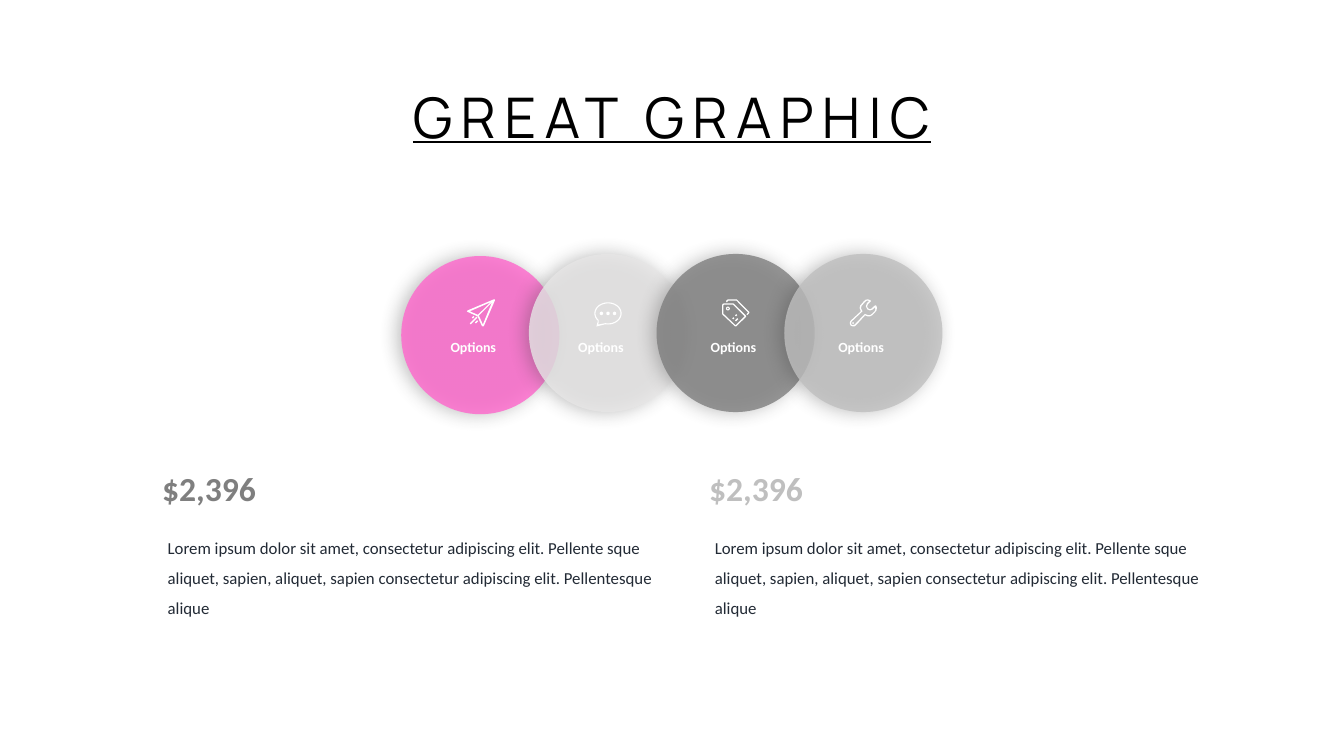
from dataclasses import dataclass
from math import cos, radians, sin

from lxml.etree import SubElement
from pptx import Presentation
from pptx.dml.color import RGBColor
from pptx.enum.shapes import MSO_SHAPE as Shape
from pptx.enum.text import MSO_AUTO_SIZE as AutoSize, PP_ALIGN as Align
from pptx.oxml.ns import qn
from pptx.slide import Slide
from pptx.text.text import _Paragraph as Paragraph
from pptx.util import Pt

Contour = list[tuple[float, float]]

COLORS = {
    "pink": "FF66CC", "light": "E7E6E6", "gray": "7F7F7F", "silver": "BFBFBF",
    "white": "FFFFFF", "black": "000000", "ink": "222A35", "shadow": "404040",
}
LOREM = (
    "Lorem ipsum dolor sit amet, consectetur adipiscing elit. Pellente sque aliquet, "
    "sapien, aliquet, sapien consectetur adipiscing elit. Pellentesque alique"
)
CIRCLE_SIZE, CIRCLE_LEFT, CIRCLE_STEP = 113, 286.6, 91.2
ICON_INSET, ICON_TOP, ICON_UNIT = 46.8, 213.8, 0.72
LABEL_TOP = 238.3


@dataclass
class Option:
    color: str
    top: float
    label_inset: float
    icon: list[Contour]


@dataclass
class Price:
    left: float
    color: str


def arc(cx: float, cy: float, rx: float, ry: float,
        start: int = 0, end: int = 360, step: int = 6) -> Contour:
    return [(cx + rx * cos(radians(a)), cy + ry * sin(radians(a)))
            for a in range(start, end, step)]


def dot(cx: float, cy: float, radius: float) -> Contour:
    return arc(cx, cy, radius, radius, step=20)


def dash(x1: float, y1: float, x2: float, y2: float) -> Contour:
    """Thin bar along a rising diagonal."""
    half = 0.5
    return [(x1 - half, y1 - half), (x2 - half, y2 - half),
            (x2 + half, y2 + half), (x1 + half, y1 + half)]


# Icon contours lie on a grid of about 28 units; inner contours are holes.
PLANE = [
    [(27, 0), (1, 11), (0, 12), (1, 12.6), (10.7, 17), (15, 26.5),
     (16, 27), (17, 26.5), (28, 1), (27.8, 0.2)],
    [(16, 25), (12, 16.2), (25, 3.2)],
    [(3, 12), (24, 2.8), (11, 15.4)],
    dash(8.5, 23.5, 10.7, 21.3), dash(3.5, 24.5, 10, 17.8), dash(5.5, 18.6, 7, 17.1),
]
CHAT = [
    arc(13.5, 14, 13.5, 11, 138, 465) + [(2, 27)],
    arc(13.5, 14, 12.4, 9.9, 138, 465) + [(4, 25)],
    *[dot(x, 14, 1.7) for x in (7, 13.5, 20)],
]
TAG = [
    [(2, 4), (11, 4), (11.6, 4.4), (24, 16.4), (24, 17.2), (14, 27), (13, 27),
     (0.4, 15.2), (0, 14.4), (0, 6), (0.6, 4.6)],
    [(2, 5.2), (10.8, 5.2), (22.4, 16.8), (13.4, 25.8), (1.4, 14.4), (1.4, 6)],
    dot(5.8, 9.2, 1.9), dot(5.8, 9.2, 0.8),
    dash(13.4, 21.4, 15.6, 19.2), dash(10.6, 19.5, 11.8, 18.3),
    dash(13.4, 16.5, 14.6, 15.3),
    [(4, 2.8), (4.4, 1), (6, 0), (14.6, 0), (27, 12.6), (27, 13.6), (25, 15.8),
     (24.2, 15), (25.8, 13.1), (14.2, 1.3), (6, 1.3), (5.2, 2.8)],
]
WRENCH = [
    [(26, 6), (27, 8), (26.6, 11), (25, 13), (22, 16), (20, 17), (17.5, 16.9),
     (15.2, 16), (6, 26), (4.6, 26.9), (3, 27), (0.8, 26), (0, 24), (0.3, 22.4),
     (1, 21.2), (11, 12), (9.8, 8.6), (10.4, 6.2), (14, 2), (15.8, 0.5), (18, 0),
     (20.8, 1.2), (21, 2), (18, 5), (17.2, 7), (18, 9), (20, 9.9), (21.8, 9.2), (25, 6)],
    [(25.1, 8), (25.4, 10), (24.6, 12), (21, 15.4), (20, 15.7), (17.4, 15.6),
     (15, 14.5), (5, 25), (3, 25.7), (1.6, 25), (1.3, 23.5), (2, 22), (12.6, 12),
     (11.1, 9), (11.7, 6.6), (15, 2.8), (16.4, 1.6), (18, 1.2), (19.2, 1.8),
     (17, 4), (16, 7), (17.4, 10), (20, 11.1), (22.6, 10.3)],
    dot(3.3, 23.6, 0.8),
]

OPTIONS = [
    Option("pink", 182.9, 15.1, PLANE),
    Option("light", 181.4, 15.1, CHAT),
    Option("gray", 181.4, 18.5, TAG),
    Option("silver", 181.4, 18.5, WRENCH),
]
PRICES = [Price(108.7, "gray"), Price(499.5, "silver")]


def rgb(name: str) -> RGBColor:
    return RGBColor.from_string(COLORS[name])


def add_alpha(color, percent: int) -> None:
    SubElement(color, qn("a:alpha")).set("val", str(percent * 1000))


def add_circle(s: Slide, left: float, option: Option) -> None:
    sp = s.shapes.add_shape(Shape.OVAL, Pt(left), Pt(option.top),
                            Pt(CIRCLE_SIZE), Pt(CIRCLE_SIZE))
    sp.fill.solid()
    sp.fill.fore_color.rgb = rgb(option.color)
    add_alpha(sp.fill._xPr.find(".//" + qn("a:srgbClr")), 80)
    sp.line.fill.background()
    sp.shadow.inherit = False
    effects = sp._element.spPr.find(qn("a:effectLst"))
    shadow = SubElement(effects, qn("a:outerShdw"), blurRad=str(Pt(13)),
                        dist=str(Pt(3)), dir=str(180 * 60000), rotWithShape="0")
    add_alpha(SubElement(shadow, qn("a:srgbClr"), val=COLORS["shadow"]), 40)


def add_icon(s: Slide, left: float, contours: list[Contour]) -> None:
    """Draw all contours as one filled outline."""
    scaled = [[(Pt(x * ICON_UNIT), Pt(y * ICON_UNIT)) for x, y in contour]
              for contour in contours]
    builder = s.shapes.build_freeform(*scaled[0][0])
    for contour in scaled:
        if contour is not scaled[0]:
            builder.move_to(*contour[0])
        builder.add_line_segments(contour[1:], close=True)
    sp = builder.convert_to_shape(Pt(left), Pt(ICON_TOP))
    sp.fill.solid()
    sp.fill.fore_color.rgb = rgb("white")
    sp.line.fill.background()
    sp.shadow.inherit = False


def add_text(s: Slide, text: str, box: tuple[float, float, float, float], size: float,
             color: str, bold: bool = False, align: Align = Align.LEFT,
             font: str = "Calibri", wrap: bool = True) -> Paragraph:
    tf = s.shapes.add_textbox(*map(Pt, box)).text_frame
    tf.word_wrap = wrap
    tf.auto_size = AutoSize.SHAPE_TO_FIT_TEXT
    p = tf.paragraphs[0]
    p.add_run().text = text
    p.alignment = align
    p.font.name, p.font.size, p.font.bold = font, Pt(size), bold
    p.font.color.rgb = rgb(color)
    return p


def main() -> None:
    prs = Presentation()
    prs.slide_width, prs.slide_height = Pt(960), Pt(540)
    s = prs.slides.add_slide(prs.slide_layouts[6])

    lefts = [CIRCLE_LEFT + i * CIRCLE_STEP for i in range(len(OPTIONS))]
    for left, option in zip(lefts, OPTIONS):
        add_circle(s, left, option)
    for left, option in zip(lefts, OPTIONS):
        add_icon(s, left + ICON_INSET, option.icon)
        add_text(s, "Options", (left + option.label_inset, LABEL_TOP, 72.7, 19.4),
                 10, "white", bold=True, align=Align.CENTER)

    for price in PRICES:
        add_text(s, "$2,396", (price.left, 330.5, 113.8, 36), 24, price.color, bold=True)
        p = add_text(s, LOREM, (price.left + 4, 373, 375.8, 70.6), 12, "ink")
        p.line_spacing = 1.5

    title = add_text(s, "GREAT GRAPHIC", (272.2, 55.4, 415.4, 55.4), 40, "black",
                     align=Align.CENTER, font="Manrope", wrap=False)
    title.font.underline = True
    title.runs[0]._r.get_or_add_rPr().set("spc", "600")

    prs.save("out.pptx")


if __name__ == "__main__":
    main()
